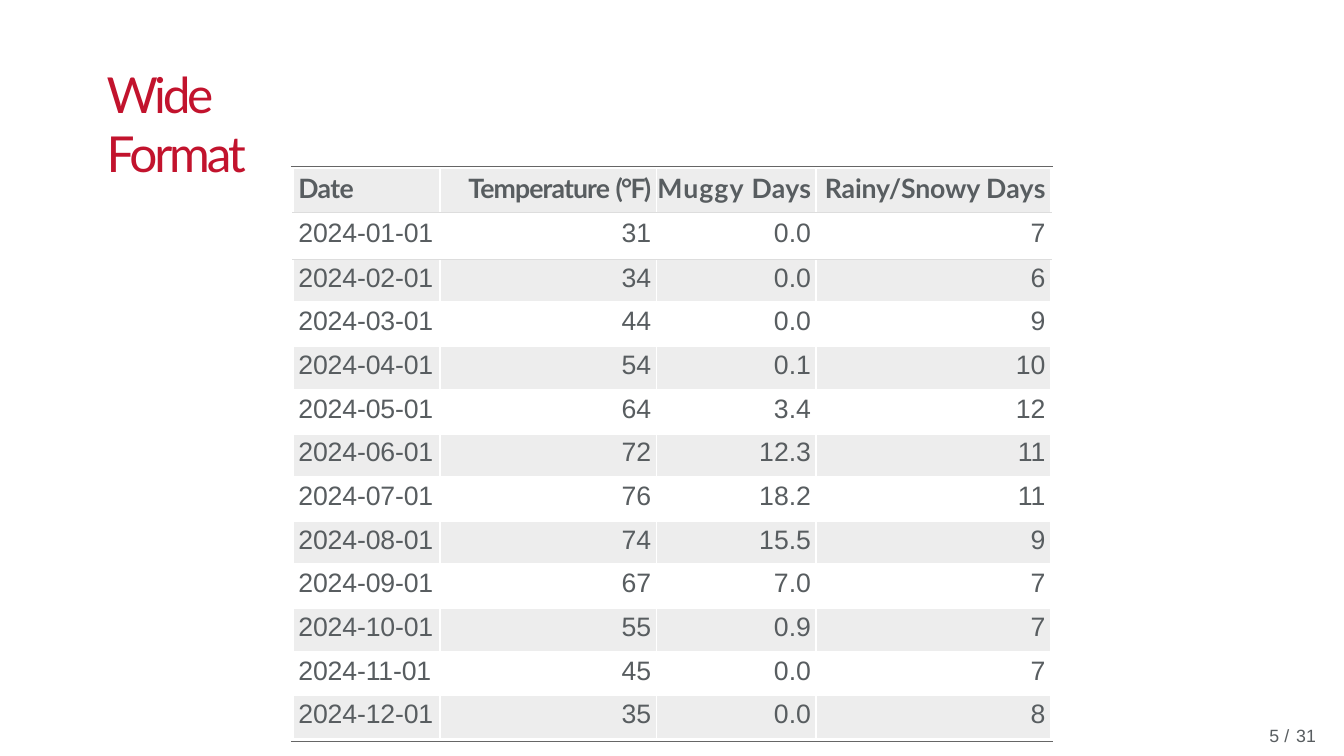
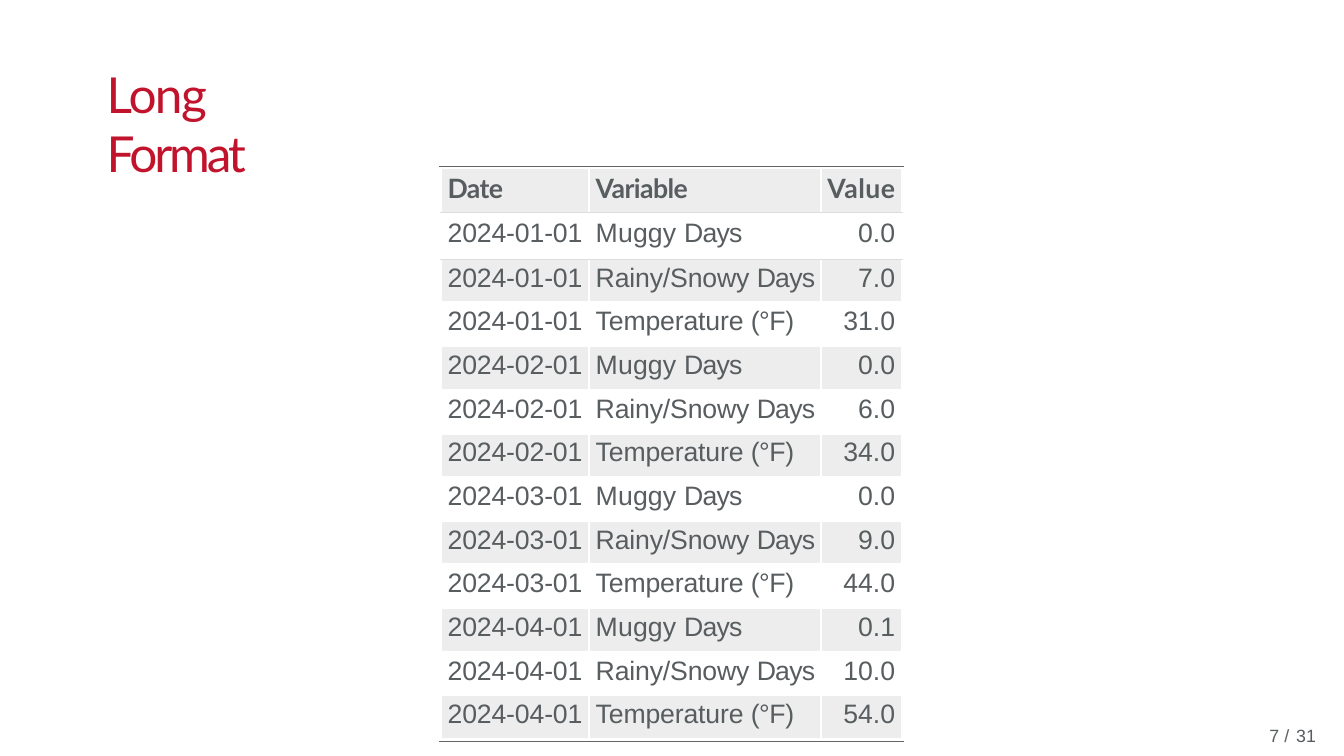
from lxml import etree
from pptx import Presentation, util as u
from pptx.dml.color import RGBColor
from pptx.enum import shapes, text
from pptx.oxml.ns import qn

RED = RGBColor(0xC2, 0x13, 0x2D)
SLATE = RGBColor(0x58, 0x5D, 0x60)
RULE_GREY = RGBColor(0x66, 0x66, 0x66)
HEAD_GREY = RGBColor(0xDD, 0xDD, 0xDD)
BAND = RGBColor(0xED, 0xED, 0xED)
WHITE = RGBColor(0xFF, 0xFF, 0xFF)

TITLE = dict(name="Lato", size=u.Pt(33.5), bold=False)
HEADER = dict(name="Lato", size=u.Pt(18), bold=True)
BODY = dict(name="Arial", size=u.Pt(18), bold=False)
FOOTER = dict(name="Arial", size=u.Pt(12), bold=False)

# Content
PAGE_COUNT = 31
WIDE_ROWS = [
    ("2024-01-01", "31", "0.0", "7"),
    ("2024-02-01", "34", "0.0", "6"),
    ("2024-03-01", "44", "0.0", "9"),
    ("2024-04-01", "54", "0.1", "10"),
    ("2024-05-01", "64", "3.4", "12"),
    ("2024-06-01", "72", "12.3", "11"),
    ("2024-07-01", "76", "18.2", "11"),
    ("2024-08-01", "74", "15.5", "9"),
    ("2024-09-01", "67", "7.0", "7"),
    ("2024-10-01", "55", "0.9", "7"),
    ("2024-11-01", "45", "0.0", "7"),
    ("2024-12-01", "35", "0.0", "8"),
]
LONG_VARIABLES = ["Muggy Days", "Rainy/Snowy Days", "Temperature (°F)"]
LONG_VALUES = {
    "2024-01-01": ("0.0", "7.0", "31.0"),
    "2024-02-01": ("0.0", "6.0", "34.0"),
    "2024-03-01": ("0.0", "9.0", "44.0"),
    "2024-04-01": ("0.1", "10.0", "54.0"),
}
LONG_ROWS = [(date, variable, value)
             for date, values in LONG_VALUES.items()
             for variable, value in zip(LONG_VARIABLES, values)]

SLIDES = [
    dict(title="Wide Format", title_spacing=(-2.3, -2.1), page=5, left=2.75,
         columns=[1.38, 2.03, 1.5, 2.2], left_columns=1, indent=0.05,
         header=[("Date", (-0.4,)), ("Temperature (°F)", (-0.6, -1.2)),
                 ("Muggy Days", (0.7, 0.2)), ("Rainy/Snowy Days", (-0.1, 0.2))],
         rows=WIDE_ROWS),
    dict(title="Long Format", title_spacing=(-1.1, -2.1), page=7, left=4.14,
         columns=[1.39, 2.17, 0.76], left_columns=2, indent=0.06,
         header=[("Date", (-0.4,)), ("Variable", (-0.4,)), ("Value", (0.3,))],
         rows=LONG_ROWS),
]

# Letter spacing of body text, word by word; numbers have none
BODY_SPACING = {
    "Muggy Days": (0.1, -0.5),
    "Rainy/Snowy Days": (-0.1, -0.5),
    "Temperature (°F)": (-0.1, -0.3),
}

# Grid
SLIDE_SIZE = u.Pt(908), u.Pt(511)
TABLE_TOP, RULE_TOP, RULE_BOTTOM, RULE_OVERHANG = 1.59, 1.56, 6.96, 0.02
HEADER_HEIGHT, FIRST_HEIGHT, WHITE_HEIGHT, BAND_HEIGHT = 0.4, 0.45, 0.43, 0.39


def write_words(paragraph, words, spacings, style, color):
    """Write one run per word, each with its own letter spacing."""
    parts = words.split(" ")
    for i, (word, spacing) in enumerate(zip(parts, spacings)):
        run = paragraph.add_run()
        run.text = word + (" " if i < len(parts) - 1 else "")
        for key, value in style.items():
            setattr(run.font, key, value)
        run.font.color.rgb = color
        run._r.get_or_add_rPr().set("spc", str(round(spacing * 100)))


def add_text(slide, box, insets, words, spacings, style, color):
    frame = slide.shapes.add_textbox(*map(u.Inches, box)).text_frame
    frame.word_wrap = True
    frame.auto_size = text.MSO_AUTO_SIZE.SHAPE_TO_FIT_TEXT
    frame.margin_left, frame.margin_top = map(u.Inches, insets)
    frame.margin_right = frame.margin_bottom = 0
    write_words(frame.paragraphs[0], words, spacings, style, color)


def add_rule(slide, left, right, y):
    rule = slide.shapes.add_connector(
        shapes.MSO_CONNECTOR.STRAIGHT, *map(u.Inches, (left, y, right, y)))
    rule.line.color.rgb = RULE_GREY
    rule.line.width = u.Pt(0.75)
    etree.SubElement(rule._element.spPr, qn("a:effectLst"))


def set_borders(cell, row):
    """White column gaps, and grey lines under the header and first row."""
    grey = (HEAD_GREY, 0.75)
    edges = {"L": (WHITE, 1.5), "R": (WHITE, 1.5),
             "T": grey if row in (1, 2) else None,
             "B": grey if row in (0, 1) else None}
    properties = cell._tc.get_or_add_tcPr()
    for i, (side, edge) in enumerate(edges.items()):
        line = etree.Element(qn(f"a:ln{side}"))
        if edge:
            color, width = edge
            line.set("w", str(u.Pt(width)))
            fill = etree.SubElement(line, qn("a:solidFill"))
            etree.SubElement(fill, qn("a:srgbClr")).set("val", str(color))
        else:
            etree.SubElement(line, qn("a:noFill"))
        properties.insert(i, line)


def row_height(row):
    if row < 2:
        return (HEADER_HEIGHT, FIRST_HEIGHT)[row]
    return WHITE_HEIGHT if row % 2 else BAND_HEIGHT


def body_spacing(words):
    return BODY_SPACING.get(words, (-0.1,) if words.count("-") == 2 else (0,))


def add_data_table(slide, data):
    rows = [data["header"]] + [[(words, body_spacing(words)) for words in row]
                               for row in data["rows"]]
    heights = [row_height(r) for r in range(len(rows))]
    width = sum(data["columns"])
    table = slide.shapes.add_table(
        len(rows), len(data["columns"]),
        *map(u.Inches, (data["left"], TABLE_TOP, width, sum(heights)))).table
    table.first_row = table.horz_banding = False
    for column, size in zip(table.columns, data["columns"]):
        column.width = u.Inches(size)

    for r, row in enumerate(rows):
        table.rows[r].height = u.Inches(heights[r])
        top_inset = 0.06 if r == 1 else 0.05 if r % 2 else 0.03
        for c, (words, spacings) in enumerate(row):
            cell = table.cell(r, c)
            on_left = c < data["left_columns"]
            cell.margin_left = u.Inches(data["indent"] if on_left else 0)
            cell.margin_right = u.Inches(0 if on_left else data["indent"])
            cell.margin_top, cell.margin_bottom = u.Inches(top_inset), 0
            cell.fill.solid()
            cell.fill.fore_color.rgb = WHITE if r % 2 else BAND
            set_borders(cell, r)
            paragraph = cell.text_frame.paragraphs[0]
            paragraph.alignment = (text.PP_ALIGN.LEFT if on_left
                                   else text.PP_ALIGN.RIGHT)
            write_words(paragraph, words, spacings, BODY if r else HEADER, SLATE)


def build_slide(deck, data):
    slide = deck.slides.add_slide(deck.slide_layouts[6])
    right = data["left"] + sum(data["columns"])
    for y in (RULE_TOP, RULE_BOTTOM):
        add_rule(slide, data["left"] - RULE_OVERHANG, right + RULE_OVERHANG, y)
    add_data_table(slide, data)
    add_text(slide, (11.87, 6.8, 0.58, 0.22), (0.04, 0),
             f"{data['page']} / {PAGE_COUNT}", (0.1, 0.6, 0.1), FOOTER, SLATE)
    add_text(slide, (0.99, 0.58, 2.2, 0.59), (0.01, 0.02),
             data["title"], data["title_spacing"], TITLE, RED)


def main():
    deck = Presentation()
    deck.slide_width, deck.slide_height = SLIDE_SIZE
    for data in SLIDES:
        build_slide(deck, data)
    deck.save("out.pptx")


if __name__ == "__main__":
    main()
